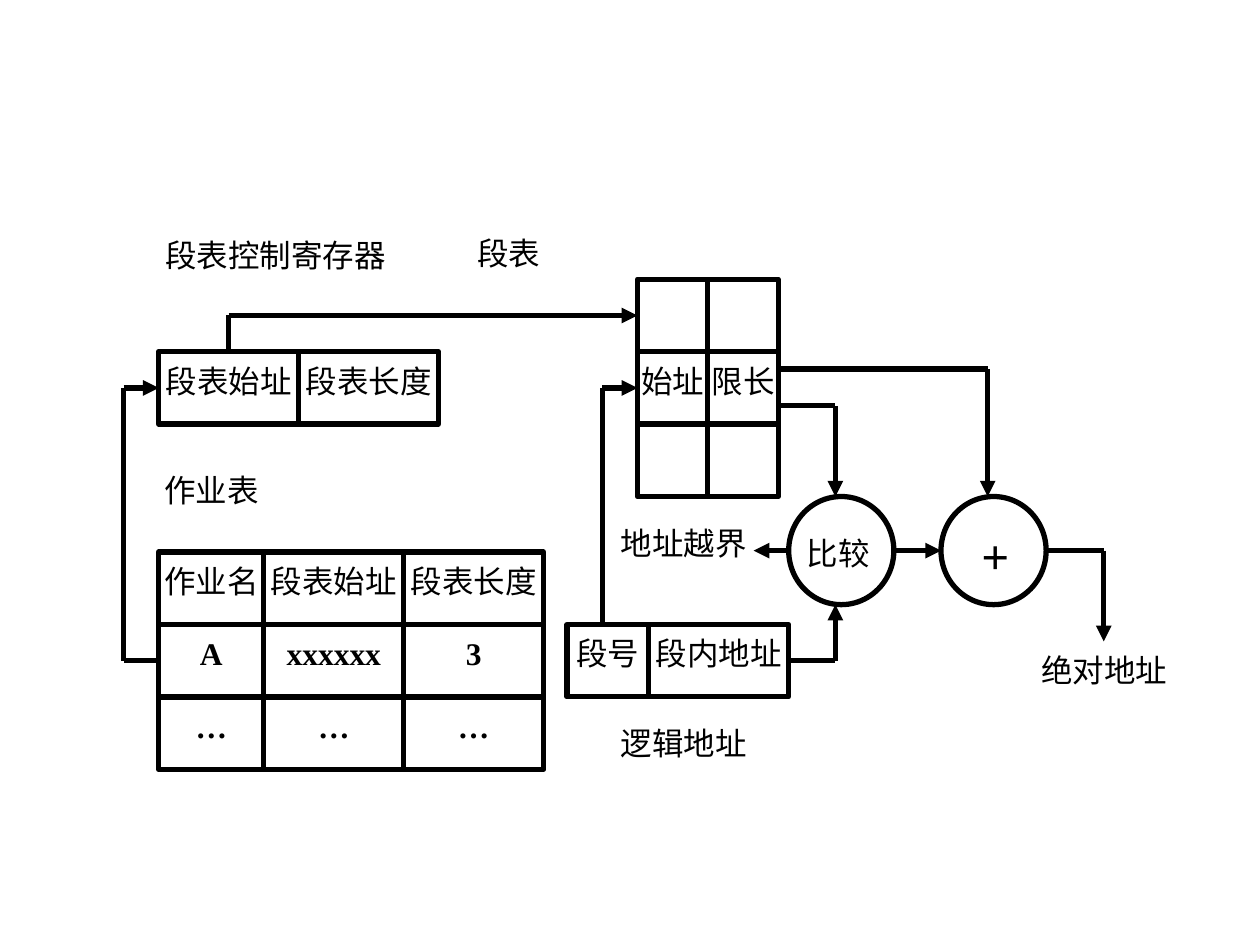
import pptx
import pptx.util
import pptx.dml.color
import pptx.enum.shapes
import pptx.enum.text
import pptx.oxml.ns
import lxml.etree

Cm = pptx.util.Cm
Pt = pptx.util.Pt
KINDS = pptx.enum.shapes.MSO_SHAPE
HUES = {name: pptx.dml.color.RGBColor.from_string(code)
        for name, code in {"ink": "000000", "paper": "FFFFFF"}.items()}
ROW = 1.46  # height of every cell and label

deck = pptx.Presentation()
deck.slide_width, deck.slide_height = Cm(25.4), Cm(19.05)
slide = deck.slides.add_slide(deck.slide_layouts[6])
slide.background.fill.solid()
slide.background.fill.fore_color.rgb = HUES["paper"]


def add_box(left, top, width, height=ROW, text="", kind=None, size=18, bold=False):
    """Add an outlined shape, or a plain label when no kind is given."""
    area = Cm(left), Cm(top), Cm(width), Cm(height)
    if kind is None:
        box = slide.shapes.add_textbox(*area)
    else:
        box = slide.shapes.add_shape(kind, *area)
        box.shadow.inherit = False
        box.fill.background()
        box.line.color.rgb = HUES["ink"]
        box.line.width = Pt(3)
    if text:
        frame = box.text_frame
        frame.word_wrap = True
        frame.margin_left = frame.margin_right = frame.margin_bottom = 0
        frame.margin_top = Cm(0.2)
        frame.vertical_anchor = pptx.enum.text.MSO_ANCHOR.TOP
        frame.text = text
        line = frame.paragraphs[0]
        line.alignment = pptx.enum.text.PP_ALIGN.CENTER
        font = line.runs[0].font
        font.name, font.size, font.bold = "Times New Roman", Pt(size), bold
        font.color.rgb = HUES["ink"]
    return box


def add_path(points, start=None, end=None):
    """Join points by straight lines, with an arrowhead on the last one."""
    last = len(points) - 2
    for i, (a, b) in enumerate(zip(points, points[1:])):
        link = slide.shapes.add_connector(
            pptx.enum.shapes.MSO_CONNECTOR.STRAIGHT,
            Cm(a[0]), Cm(a[1]), Cm(b[0]), Cm(b[1]))
        link.line.color.rgb = HUES["ink"]
        link.line.width = Pt(3)
        if i == 0 and start:
            link.begin_connect(*start)
        if i == last and end:
            link.end_connect(*end)
        if i == last:
            lxml.etree.SubElement(link.line._get_or_add_ln(),
                                  pptx.oxml.ns.qn("a:tailEnd"), type="triangle")
        lxml.etree.SubElement(link._element.spPr, pptx.oxml.ns.qn("a:effectLst"))


# Grids of cells: left, top, column widths, rows of text
grids = {
    "reg": (3.2, 7.09, [2.82, 2.82], [["段表始址", "段表长度"]]),
    "job": (3.2, 11.13, [2.12, 2.82, 2.82],
            [["作业名", "段表始址", "段表长度"], ["A", "xxxxxx", "3"], ["…"] * 3]),
    "seg": (12.85, 5.63, [1.42, 1.42], [["", ""], ["始址", "限长"], ["", ""]]),
    "addr": (11.43, 12.59, [1.65, 2.82], [["段号", "段内地址"]]),
}
cells = {}
for name, (left, top, widths, rows) in grids.items():
    for r, row in enumerate(rows):
        for c, text in enumerate(row):
            cells[name, r, c] = add_box(
                left + sum(widths[:c]), top + r * ROW, widths[c], text=text,
                kind=KINDS.RECTANGLE, bold=name == "job" and r > 0)

# Compare and add circles
for left in (15.9, 18.97):
    add_box(left, 10.01, 2.12, 2.18, kind=KINDS.OVAL)
add_box(16.05, 10.57, 1.7, text="比较")
add_box(19.43, 10.39, 1.27, text="+", size=28, bold=True)

# Labels
for text, left, top, width in [
    ("段表控制寄存器", 3.2, 4.55, 4.7),
    ("段表", 9.32, 4.52, 1.88),
    ("作业表", 3.2, 9.3, 2.12),
    ("地址越界", 12.37, 10.36, 2.82),
    ("逻辑地址", 12.37, 14.4, 2.82),
    ("绝对地址", 20.85, 12.93, 2.82),
]:
    add_box(left, top, width, text=text)

# Arrows between tables
add_path([(3.2, 13.32), (2.49, 13.32), (2.49, 7.82), (3.2, 7.82)],
         (cells["job", 1, 0], 1), (cells["reg", 0, 0], 1))
add_path([(4.61, 7.09), (4.61, 6.36), (12.85, 6.36)],
         (cells["reg", 0, 0], 0), (cells["seg", 0, 0], 1))
add_path([(12.14, 12.59), (12.14, 7.82), (12.85, 7.82)],
         end=(cells["seg", 1, 0], 1))

# Arrows into and out of the circles
add_path([(15.9, 13.32), (16.84, 13.32), (16.84, 12.19)],
         (cells["addr", 0, 1], 3))
add_path([(15.69, 8.18), (16.84, 8.18), (16.84, 10.01)])
add_path([(15.69, 7.44), (19.91, 7.44), (19.91, 10.01)])
add_path([(15.9, 11.1), (15.19, 11.1)])
add_path([(18.02, 11.1), (18.97, 11.1)])
add_path([(21.09, 11.1), (22.25, 11.1), (22.25, 12.93)])

deck.save("out.pptx")
